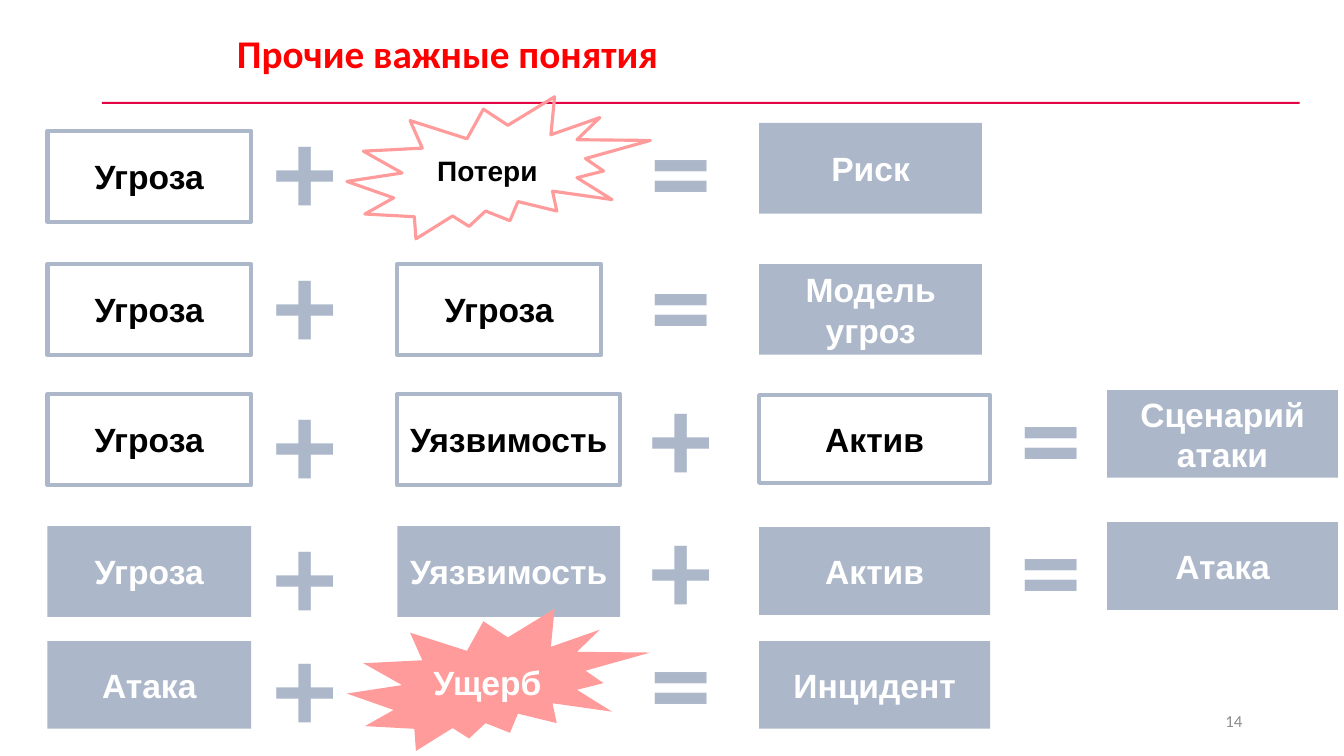
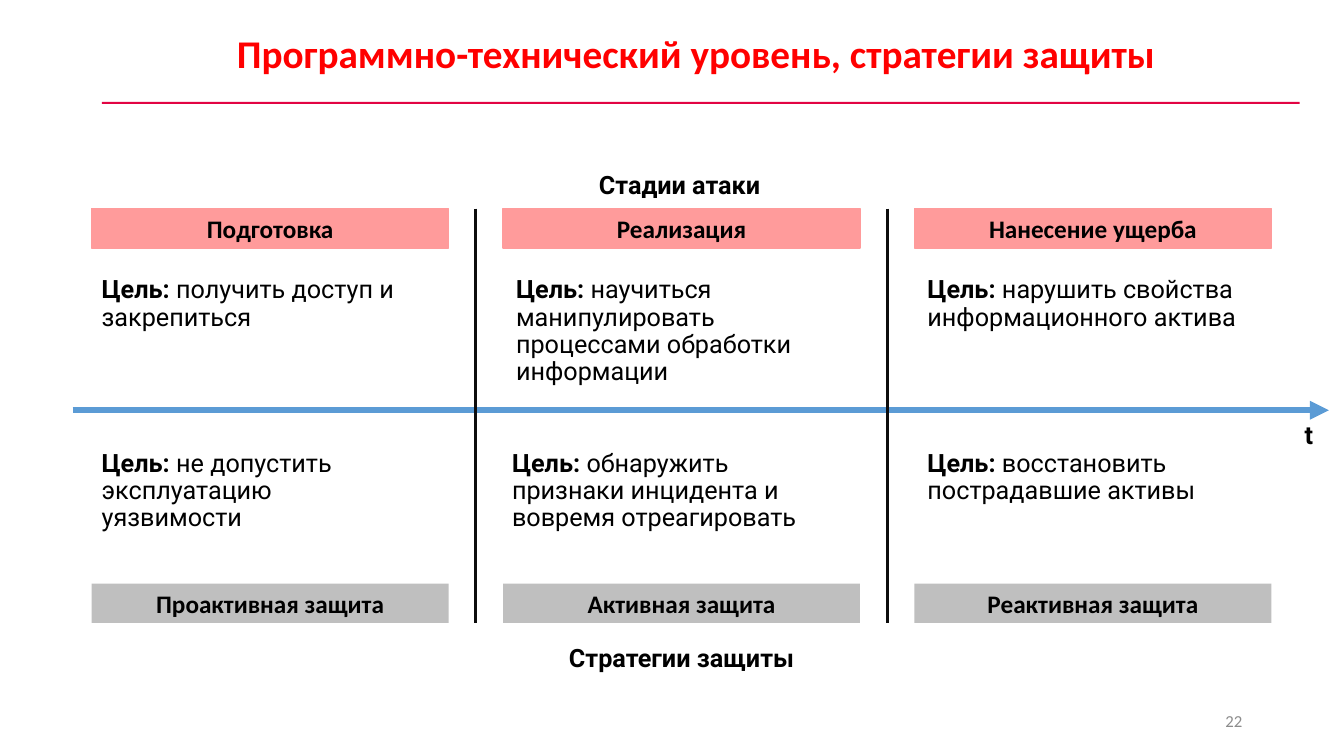
from lxml import etree
from pptx import Presentation
from pptx.dml.color import RGBColor
from pptx.enum import shapes, text
from pptx.oxml import ns
from pptx.util import Inches, Pt

COLORS = {
    "title": "FF0000", "rule": "E20443", "number": "8C8C8C",
    "steel": "ACB8CA", "coral": "FF9B9B", "grey": "BFBFBF",
    "axis": "5B9BD5", "divider": "0D0D0D", "black": "000000", "white": "FFFFFF",
}
RECTANGLE = shapes.MSO_SHAPE.RECTANGLE
BURST = shapes.MSO_SHAPE.EXPLOSION2
LEFT, CENTER, RIGHT = text.PP_ALIGN.LEFT, text.PP_ALIGN.CENTER, text.PP_ALIGN.RIGHT
TOP, MIDDLE = text.MSO_ANCHOR.TOP, text.MSO_ANCHOR.MIDDLE

# Style: preset, fill, line, line width, text colour, text size
STYLES = {
    "outline": (RECTANGLE, None, "steel", 3, "black", 24),
    "solid": (RECTANGLE, "steel", None, 0, "white", 24),
    "loss": (BURST, None, "coral", 2.25, "black", 20),
    "damage": (BURST, "coral", None, 0, "white", 24),
}
TERM_LEFTS = (0.47, 3.94, 7.53, 10.98)
BURST_LEFT = 3.44
SIGN_LEFTS = (2.62, 6.35, 10.02)
SIGN_SIZE = (0.82, 1.58)
SMALL, MEDIUM, LARGE, BURST_SIZE = (2.02, 0.9), (2.21, 0.9), (2.29, 0.87), (3.01, 1.41)

# Each equation: terms (text, style, top, size) and signs (text, top)
EQUATIONS = [
    ([("Угроза", "outline", 1.3, SMALL), ("Потери", "loss", 0.96, BURST_SIZE),
      ("Риск", "solid", 1.22, MEDIUM)],
     [("+", 0.87), ("=", 0.87)]),
    ([("Угроза", "outline", 2.62, SMALL), ("Угроза", "outline", 2.62, SMALL),
      ("Модель угроз", "solid", 2.62, MEDIUM)],
     [("+", 2.2), ("=", 2.2)]),
    ([("Угроза", "outline", 3.91, SMALL), ("Уязвимость", "outline", 3.91, MEDIUM),
      ("Актив", "outline", 3.92, LARGE), ("Сценарий атаки", "solid", 3.87, LARGE)],
     [("+", 3.57), ("+", 3.52), ("=", 3.52)]),
    ([("Угроза", "solid", 5.22, SMALL), ("Уязвимость", "solid", 5.22, MEDIUM),
      ("Актив", "solid", 5.23, LARGE), ("Атака", "solid", 5.18, LARGE)],
     [("+", 4.88), ("+", 4.83), ("=", 4.83)]),
    ([("Атака", "solid", 6.36, (2.02, 0.87)), ("Ущерб", "damage", 6.04, BURST_SIZE),
      ("Инцидент", "solid", 6.36, LARGE)],
     [("+", 6), ("=", 5.95)]),
]

GOAL = "Цель: "
# Each stage: name, attacker's goal, defender's goal, strategy
STAGES = [
    ("Подготовка", "получить доступ и закрепиться",
     "не допустить эксплуатацию уязвимости", "Проактивная защита"),
    ("Реализация", "научиться манипулировать процессами обработки информации",
     "обнаружить признаки инцидента и вовремя отреагировать", "Активная защита"),
    ("Нанесение ущерба", "нарушить свойства информационного актива",
     "восстановить пострадавшие активы", "Реактивная защита"),
]
GOAL_ROWS = [(2.7, (0.91, 5.02, 9.1)), (4.42, (0.91, 4.98, 9.1))]
GOAL_WIDTHS = (3.31, 3.52, 3.52)
STAGE_LEFT, STAGE_WIDTH, STAGE_GAP = 0.91, 3.54, 0.54
BAND_HEIGHT, STAGE_TOP, STRATEGY_TOP = 0.39, 2.07, 5.79
CAPTIONS = [  # text, left, top, width, height, alignment
    ("Стадии атаки", 4.98, 1.66, 3.52, 0.37, CENTER),
    ("Стратегии защиты", 5, 6.36, 3.52, 0.37, CENTER),
    ("t", 12.84, 4.14, 0.49, 0.31, LEFT),
]


def rgb(name):
    return RGBColor.from_string(COLORS[name])


def style_run(run, font, size, color, bold=True):
    run.font.name, run.font.size, run.font.bold = font, Pt(size), bold
    run.font.color.rgb = rgb(color)


def write(shape, content, font, size, color, bold=True, align=LEFT, anchor=TOP):
    frame = shape.text_frame
    frame.text = content
    frame.word_wrap = True
    frame.vertical_anchor = anchor
    paragraph = frame.paragraphs[0]
    paragraph.alignment = align
    style_run(paragraph.runs[0], font, size, color, bold)
    return paragraph


def add_text(slide, box, *args, **options):
    shape = slide.shapes.add_textbox(*map(Inches, box))
    return shape, write(shape, *args, **options)


def add_box(slide, preset, box, fill=None, line=None, width=1):
    shape = slide.shapes.add_shape(preset, *map(Inches, box))
    shape.shadow.inherit = False
    if fill:
        shape.fill.solid()
        shape.fill.fore_color.rgb = rgb(fill)
    else:
        shape.fill.background()
    if line:
        shape.line.color.rgb = rgb(line)
        shape.line.width = Pt(width)
    else:
        shape.line.fill.background()
    return shape


def add_line(slide, ends, color, width, arrow=False):
    line = slide.shapes.add_connector(shapes.MSO_CONNECTOR.STRAIGHT, *map(Inches, ends))
    line.line.color.rgb = rgb(color)
    line.line.width = Pt(width)
    if arrow:
        etree.SubElement(line.line._get_or_add_ln(), ns.qn("a:tailEnd"), type="triangle")
    etree.SubElement(line._element.spPr, ns.qn("a:effectLst"))


def start_slide(presentation, heading, number):
    """Add a slide with the shared rule, title and page number."""
    slide = presentation.slides.add_slide(presentation.slide_layouts[5])
    add_box(slide, RECTANGLE, (1.01, 1.01, 11.88, 0.02), "rule")
    title = slide.shapes.title
    title.left, title.top, title.width, title.height = map(Inches, (2.25, 0.24, 10.71, 0.57))
    write(title, heading, "Calibri", 28, "title")
    title.text_frame.auto_size = text.MSO_AUTO_SIZE.SHAPE_TO_FIT_TEXT
    add_text(slide, (9.42, 6.95, 3, 0.4), number, "Calibri", 12, "number",
             bold=False, align=RIGHT, anchor=MIDDLE)
    return slide


def build_concepts(presentation):
    slide = start_slide(presentation, "Прочие важные понятия", "14")
    for terms, signs in EQUATIONS:
        for left, (name, style, top, size) in zip(TERM_LEFTS, terms):
            preset, fill, line, width, color, points = STYLES[style]
            left = BURST_LEFT if preset == BURST else left
            shape = add_box(slide, preset, (left, top, *size), fill, line, width)
            write(shape, name, "Arial", points, color, align=CENTER, anchor=MIDDLE)
        for left, (sign, top) in zip(SIGN_LEFTS, signs):
            shape, _ = add_text(slide, (left, top, *SIGN_SIZE), sign, "Calibri", 88, "steel")
            shape.text_frame.word_wrap = False
            shape.text_frame.auto_size = text.MSO_AUTO_SIZE.SHAPE_TO_FIT_TEXT


def build_strategies(presentation):
    slide = start_slide(presentation, "Программно-технический уровень, стратегии защиты", "22")
    add_line(slide, (0.72, 4.07, 13.18, 4.07), "axis", 4.5, arrow=True)
    for index, (stage, attack, defence, strategy) in enumerate(STAGES):
        left = STAGE_LEFT + index * (STAGE_WIDTH + STAGE_GAP)
        for name, top, fill, line in ((stage, STAGE_TOP, "coral", "coral"),
                                      (strategy, STRATEGY_TOP, "grey", None)):
            band = add_box(slide, RECTANGLE, (left, top, STAGE_WIDTH, BAND_HEIGHT), fill, line)
            write(band, name, "Calibri", 18, "black", align=CENTER, anchor=MIDDLE)
        for goal, (top, lefts) in zip((attack, defence), GOAL_ROWS):
            _, paragraph = add_text(slide, (lefts[index], top, GOAL_WIDTHS[index], 1.18),
                                    GOAL, "Roboto", 18, "black")
            paragraph.line_spacing = 0.9
            run = paragraph.add_run()
            run.text = goal
            style_run(run, "Roboto", 18, "black", bold=False)
        if index:
            middle = left - STAGE_GAP / 2
            add_line(slide, (middle, STAGE_TOP, middle, STRATEGY_TOP + BAND_HEIGHT),
                     "divider", 2.25)
    for caption, *box, align in CAPTIONS:
        _, paragraph = add_text(slide, box, caption, "Roboto", 18, "black", align=align)
        paragraph.line_spacing = 0.9


def main():
    presentation = Presentation()
    presentation.slide_width, presentation.slide_height = Inches(13.33), Inches(7.5)
    build_concepts(presentation)
    build_strategies(presentation)
    presentation.save("out.pptx")


if __name__ == "__main__":
    main()
